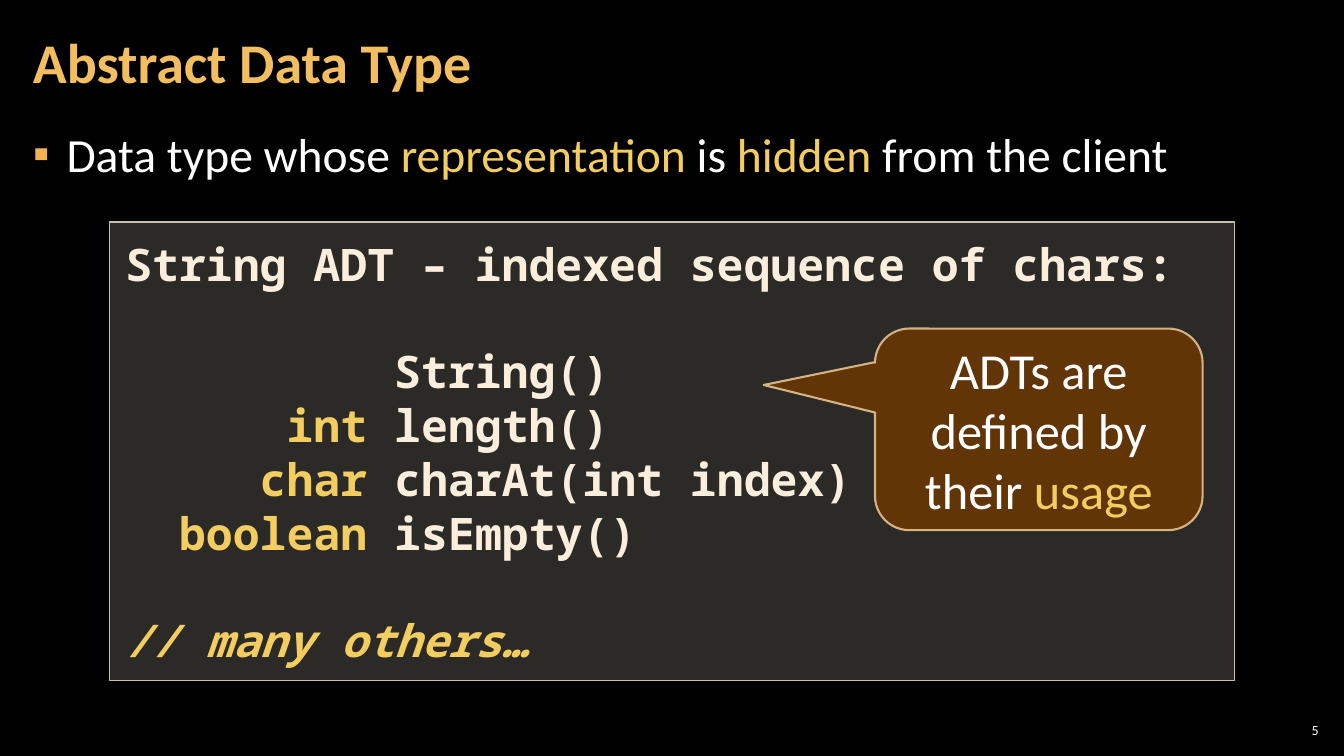
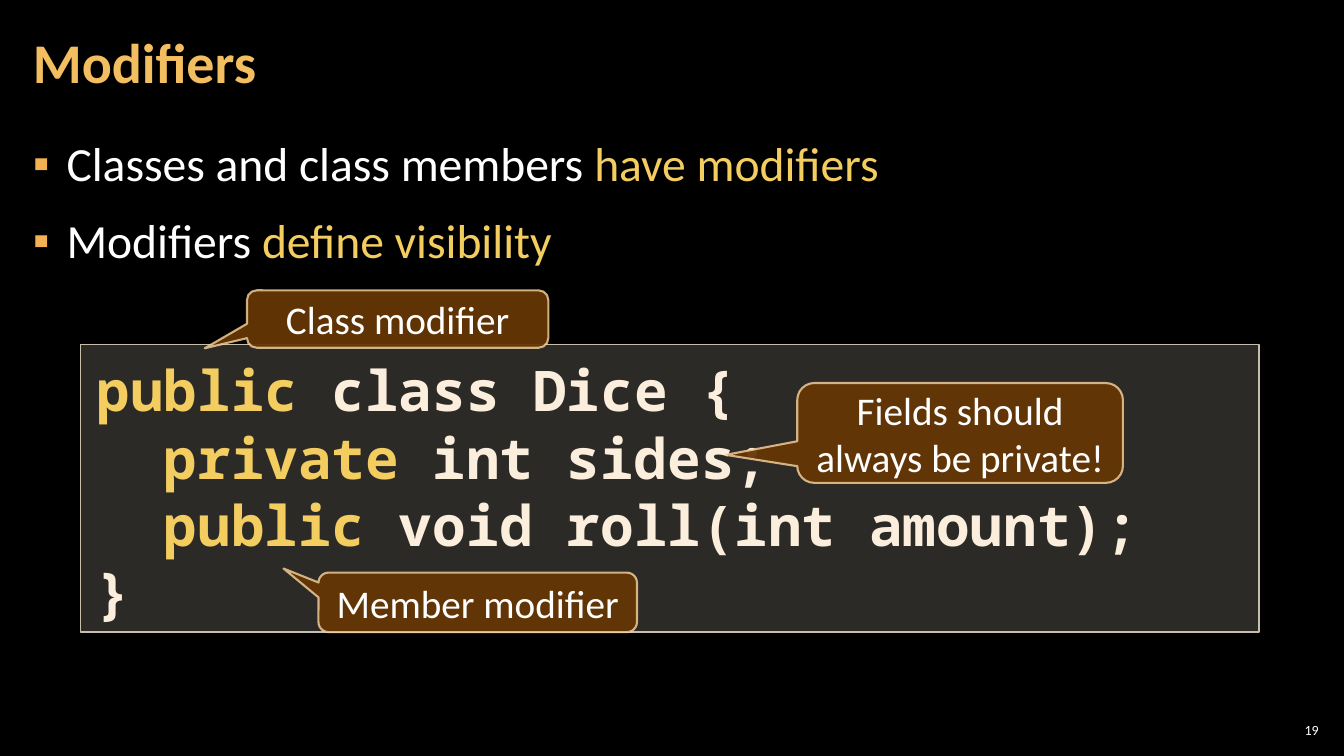
from lxml import etree
from pptx import Presentation
from pptx.dml.color import RGBColor
from pptx.enum import shapes, text
from pptx.oxml import ns
from pptx.util import Pt

COLORS = {
    "background": "000000", "title": "F3BE60", "body": "FFFFFF",
    "accent": "F3CD60", "bullet": "F2B254", "code": "FBEEDC",
    "panel": "D9D5C7", "panel_line": "C7BFAC",
    "callout": "663606", "callout_line": "F8D49E",
}
BODY_FONT, CODE_FONT = "Calibri", "Noto Sans Mono"
CHAR_WIDTH, LINE_HEIGHT = 0.6, 1.2  # code metrics, in ems

TITLE_BOX = (15, 3, 754, 87)
NUMBER_BOX = (911, 514, 34, 15)
BODY_LEFT, BODY_WIDTH, BODY_HEIGHT = 15, 930, 438
BULLET_INDENT = 24

# Stars enclose highlighted words.
# Code lines: (columns of indent, blank lines above, text, italic)
# Callouts: (box, (tip x, tip y, corner), size, words)
SLIDES = [
    {
        "title": "Abstract Data Type", "number": "5", "body_top": 84,
        "bullets": ["Data type whose *representation* is *hidden* from the client"],
        "code": {
            "box": (78, 158.5, 804, 327.5), "size": 32, "inset": 8.5,
            "lines": [
                (0, 0, "String ADT – indexed sequence of chars:", False),
                (10, 1, "String()", False),
                (6, 0, "*int* length()", False),
                (5, 0, "*char* charAt(int index)", False),
                (2, 0, "*boolean* isEmpty()", False),
                (0, 1, "*// many others…*", True),
            ],
        },
        "callouts": [
            ((625, 234.7, 234, 144), (-0.84, -0.22, 0.17), 36,
             "ADTs are defined by their *usage*"),
        ],
    },
    {
        "title": "Modifiers", "number": "19", "body_top": 91,
        "bullets": ["Classes and class members *have modifiers*",
                    "Modifiers *define visibility*"],
        "code": {
            "box": (57.6, 246.2, 841.7, 205.2), "size": 40, "inset": 6,
            "lines": [
                (0, 0, "*public* class Dice {", False),
                (2, 0, "*private* int sides;", False),
                (2, 0, "*public* void roll(int amount);", False),
                (0, 0, "}", False),
            ],
        },
        "callouts": [
            ((176.4, 207.4, 215.3, 41), (-0.64, 0.51, 0.17), 28, "Class modifier"),
            ((227.5, 409, 227.5, 42.5), (-0.61, -0.57, 0.17), 28, "Member modifier"),
            ((569.5, 273.6, 232.6, 71.3), (-0.72, 0.22, 0.17), 28,
             "Fields should always be private!"),
        ],
    },
]


def rgb(name):
    return RGBColor.from_string(COLORS[name])


def apply(target, **values):
    for name, value in values.items():
        setattr(target, name, value)


def points(box):
    return [Pt(length) for length in box]


def place(shape, box):
    apply(shape, **dict(zip(("left", "top", "width", "height"), points(box))))


def set_frame(frame, x_inset, y_inset, anchor):
    apply(frame, word_wrap=True, auto_size=text.MSO_AUTO_SIZE.NONE,
          vertical_anchor=anchor,
          margin_left=Pt(x_inset), margin_right=Pt(x_inset),
          margin_top=Pt(y_inset), margin_bottom=Pt(y_inset))


def paragraphs(frame, count):
    """Return count paragraphs of an empty frame."""
    return [frame.paragraphs[0]] + [frame.add_paragraph() for _ in range(count - 1)]


def write(paragraph, words, color, **font):
    """Add runs, with the words between stars in the accent colour."""
    for i, part in enumerate(words.split("*")):
        if part:
            run = paragraph.add_run()
            run.text = part
            apply(run.font, **font)
            run.font.color.rgb = rgb("accent" if i % 2 else color)


def set_indent(paragraph, left, first=0):
    properties = paragraph._p.get_or_add_pPr()
    properties.set("marL", str(Pt(left)))
    properties.set("indent", str(Pt(first)))
    return properties


def set_alpha(color_format_parent, percent):
    for color in color_format_parent.iter(ns.qn("a:srgbClr")):
        etree.SubElement(color, ns.qn("a:alpha")).set("val", str(percent * 1000))


def paint(shape, fill, fill_alpha, line, line_width, line_alpha=100):
    shape.shadow.inherit = False
    shape.fill.solid()
    shape.fill.fore_color.rgb = rgb(fill)
    shape.line.color.rgb = rgb(line)
    shape.line.width = Pt(line_width)
    properties = shape._element.spPr
    set_alpha(properties.find(ns.qn("a:solidFill")), fill_alpha)
    set_alpha(properties.find(ns.qn("a:ln")), line_alpha)


def add_title(slide, words):
    title = slide.shapes.title
    place(title, TITLE_BOX)
    set_frame(title.text_frame, 8.5, 3, text.MSO_ANCHOR.MIDDLE)
    paragraph = title.text_frame.paragraphs[0]
    apply(paragraph, alignment=text.PP_ALIGN.LEFT, line_spacing=0.9)
    write(paragraph, words, "title", size=Pt(40), name=BODY_FONT, bold=True)


def add_bullets(slide, top, items):
    body = slide.placeholders[1]
    place(body, (BODY_LEFT, top, BODY_WIDTH, BODY_HEIGHT))
    set_frame(body.text_frame, 8.5, 3, text.MSO_ANCHOR.TOP)
    for paragraph, words in zip(paragraphs(body.text_frame, len(items)), items):
        apply(paragraph, line_spacing=1.05, space_before=Pt(6), space_after=Pt(6))
        properties = set_indent(paragraph, BULLET_INDENT, -BULLET_INDENT)
        bullet_color = etree.SubElement(properties, ns.qn("a:buClr"))
        etree.SubElement(bullet_color, ns.qn("a:srgbClr")).set("val", COLORS["bullet"])
        etree.SubElement(properties, ns.qn("a:buChar")).set("char", "▪")
        write(paragraph, words, "body", size=Pt(34), name=BODY_FONT)


def add_number(slide, number):
    frame = slide.shapes.add_textbox(*points(NUMBER_BOX)).text_frame
    set_frame(frame, 3, 3, text.MSO_ANCHOR.MIDDLE)
    frame.paragraphs[0].alignment = text.PP_ALIGN.RIGHT
    write(frame.paragraphs[0], number, "body", size=Pt(10), name=BODY_FONT)


def add_code(slide, box, size, inset, lines):
    panel = slide.shapes.add_shape(shapes.MSO_SHAPE.RECTANGLE, *points(box))
    paint(panel, "panel", 20, "panel_line", 1)
    frame = panel.text_frame
    set_frame(frame, 11.5, inset, text.MSO_ANCHOR.TOP)
    frame.margin_top = Pt(inset + 2)
    pitch = size * LINE_HEIGHT
    for paragraph, line in zip(paragraphs(frame, len(lines)), lines):
        columns, blank_lines, words, italic = line
        apply(paragraph, alignment=text.PP_ALIGN.LEFT, line_spacing=Pt(pitch),
              space_before=Pt(blank_lines * pitch))
        set_indent(paragraph, columns * size * CHAR_WIDTH)
        write(paragraph, words, "code", size=Pt(size), name=CODE_FONT,
              bold=True, italic=italic)


def add_callout(slide, box, tip, size, words):
    callout = slide.shapes.add_shape(
        shapes.MSO_SHAPE.ROUNDED_RECTANGULAR_CALLOUT, *points(box))
    for i, value in enumerate(tip):
        callout.adjustments[i] = value
    paint(callout, "callout", 95, "callout_line", 1.5, 80)
    set_frame(callout.text_frame, 7.2, 3.6, text.MSO_ANCHOR.MIDDLE)
    paragraph = callout.text_frame.paragraphs[0]
    paragraph.alignment = text.PP_ALIGN.CENTER
    write(paragraph, words, "body", size=Pt(size), name=BODY_FONT)


def main():
    deck = Presentation()
    apply(deck, slide_width=Pt(960), slide_height=Pt(540))
    background = deck.slide_master.background.fill
    background.solid()
    background.fore_color.rgb = rgb("background")
    for content in SLIDES:
        slide = deck.slides.add_slide(deck.slide_layouts[1])
        add_title(slide, content["title"])
        add_bullets(slide, content["body_top"], content["bullets"])
        add_number(slide, content["number"])
        add_code(slide, **content["code"])
        for callout in content["callouts"]:
            add_callout(slide, *callout)
    deck.save("out.pptx")


if __name__ == "__main__":
    main()
